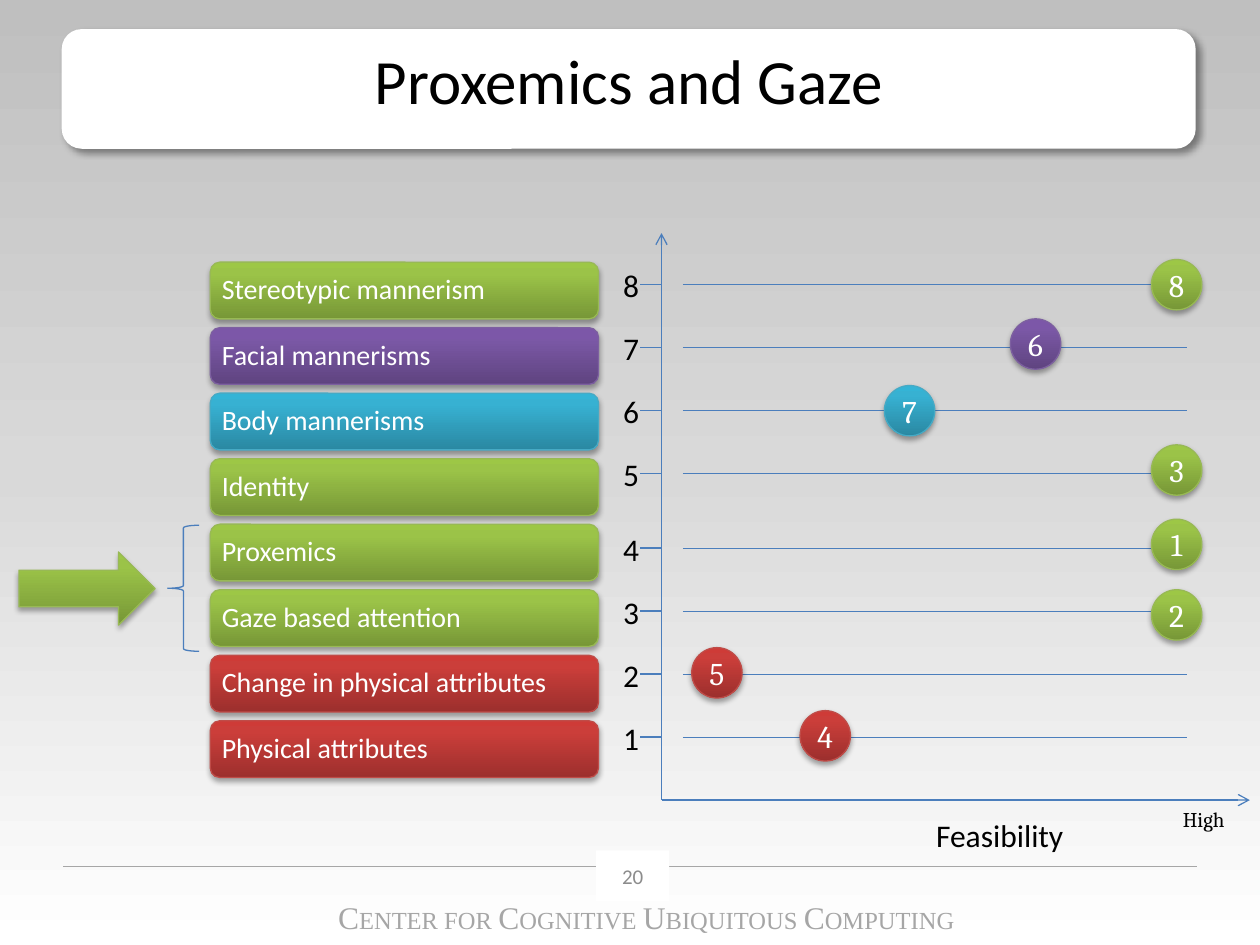
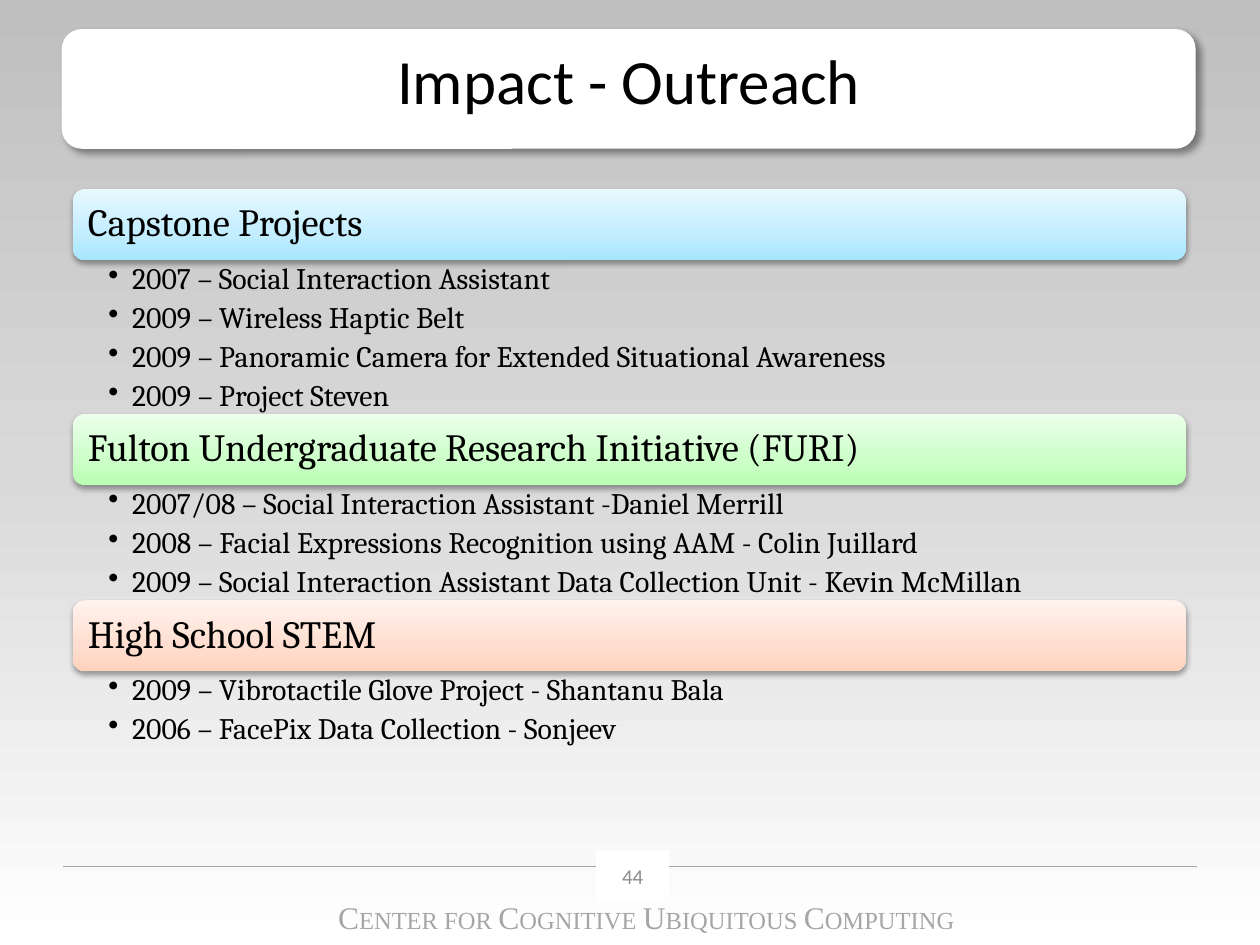
from lxml.etree import SubElement
from pptx import Presentation
from pptx.dml.color import RGBColor
from pptx.enum.dml import MSO_LINE
from pptx.enum.shapes import MSO_CONNECTOR, MSO_SHAPE
from pptx.enum.text import MSO_ANCHOR, MSO_AUTO_SIZE, PP_ALIGN
from pptx.oxml.ns import qn
from pptx.util import Pt

BLACK, WHITE, GREY, NUMBER_GREY, AXIS_BLUE = "000000", "FFFFFF", "A6A6A6", "8C8C8C", "4B7EBC"
BACKDROP = [(0, "BFBFBF"), (50, "D9D9D9"), (100, "FFFFFF")]
TITLE_BOX = (35.3, 16.6, 648, 68.4)
TITLE_SHADOW = {"alpha": 40, "blur": 4, "distance": 3, "angle": 45}
BAR_SHADOW = {"alpha": 35, "blur": 3.1, "distance": 1.8, "angle": 90}
CENTER_WORDS = ["CENTER FOR ", "COGNITIVE ", "UBIQUITOUS ", "COMPUTING"]

HUES = {
    "green": ([(0, "9DC746"), (20, "9BC348"), (100, "779737")], "98B955"),
    "purple": ([(0, "7C57A8"), (20, "7B58A6"), (100, "5F4480")], "7D60A0"),
    "blue": ([(0, "34B4D6"), (20, "37B1D2"), (100, "2A88A2")], "46AAC5"),
    "red": ([(0, "CE3B37"), (20, "CB3E3A"), (100, "9C2F2D")], "BF4C48"),
}
CUES = [
    ("Stereotypic mannerism", "green", "8", 280, 0),
    ("Facial mannerisms", "purple", "6", 199.4, -2.1),
    ("Body mannerisms", "blue", "7", 127.4, 0),
    ("Identity", "green", "3", 280, -2.1),
    ("Proxemics", "green", "1", 280, -2.1),
    ("Gaze based attention", "green", "2", 280, 2.2),
    ("Change in physical attributes", "red", "5", 17.3, -0.7),
    ("Physical attributes", "red", "4", 79.2, -0.7),
]
PROGRAMS = [
    ("Capstone Projects", [(0, "E7F8FF"), (65, "C1EDFF"), (100, "A7E6FF")], [
        "2007 – Social Interaction Assistant",
        "2009 – Wireless Haptic Belt",
        "2009 – Panoramic Camera for Extended Situational Awareness",
        "2009 – Project Steven",
    ]),
    ("Fulton Undergraduate Research Initiative (FURI)",
     [(0, "ECFFEA"), (65, "CDFFC9"), (100, "B9FFB2")], [
         "2007/08 – Social Interaction Assistant -Daniel Merrill",
         "2008 – Facial Expressions Recognition using AAM - Colin Juillard",
         "2009 – Social Interaction Assistant Data Collection Unit - Kevin McMillan",
     ]),
    ("High School STEM", [(0, "FFF2ED"), (65, "FFDED0"), (100, "FFD2BD")], [
        "2009 – Vibrotactile Glove Project - Shantanu Bala",
        "2006 – FacePix Data Collection - Sonjeev",
    ]),
]


def color(value):
    """Turn a hex string into a colour."""
    return RGBColor.from_string(value)


def apply(target, values):
    """Set attributes of an object from a dict."""
    for name, value in values.items():
        setattr(target, name, value)


def paint(fill, paint_value):
    """Fill with nothing, a hex colour or gradient stops from top to bottom."""
    if paint_value is None:
        fill.background()
    elif isinstance(paint_value, str):
        fill.solid()
        fill.fore_color.rgb = color(paint_value)
    else:
        fill.gradient()
        fill.gradient_angle = 270
        stops = fill._xPr.find(qn("a:gradFill")).find(qn("a:gsLst"))
        for stop in list(stops):
            stops.remove(stop)
        for percent, value in paint_value:
            stop = SubElement(stops, qn("a:gs"), pos=str(percent * 1000))
            SubElement(stop, qn("a:srgbClr"), val=value)


def add_box(page, kind, box, fill=None, outline=None, shadow=None):
    """Add a preset shape with its fill, outline and shadow."""
    shape = page.shapes.add_shape(kind, *map(Pt, box))
    paint(shape.fill, fill)
    paint(shape.line.fill, outline)
    if outline:
        shape.line.width = Pt(0.75)
    shape.shadow.inherit = False
    if shadow:
        effects = shape._element.spPr.find(qn("a:effectLst"))
        outer = SubElement(
            effects, qn("a:outerShdw"), blurRad=str(Pt(shadow["blur"])),
            dist=str(Pt(shadow["distance"])), dir=str(shadow["angle"] * 60000), rotWithShape="0")
        tone = SubElement(outer, qn("a:srgbClr"), val=BLACK)
        SubElement(tone, qn("a:alpha"), val=str(shadow["alpha"] * 1000))
    return shape


def add_line(page, start, end, tone=AXIS_BLUE, width=0.75, dash=None, arrow=False):
    """Add a straight line, with an arrowhead at its end if asked."""
    points = map(Pt, (*start, *end))
    connector = page.shapes.add_connector(MSO_CONNECTOR.STRAIGHT, *points)
    connector.line.color.rgb = color(tone)
    apply(connector.line, {"width": Pt(width), "dash_style": dash})
    if arrow:
        SubElement(connector.line._get_or_add_ln(), qn("a:tailEnd"), type="arrow")
    SubElement(connector._element.spPr, qn("a:effectLst"))


def write(shape, paragraphs, font, tone, align=PP_ALIGN.LEFT, anchor=MSO_ANCHOR.TOP,
          margins=(7.2, 3.6, 7.2, 3.6), wrap=True, spacing=None, bullet=False):
    """Write paragraphs, each a list of (text, size) spans, into a shape."""
    frame = shape.text_frame
    names = ("margin_left", "margin_top", "margin_right", "margin_bottom")
    apply(frame, dict(zip(names, map(Pt, margins))))
    apply(frame, {"word_wrap": wrap, "vertical_anchor": anchor, "auto_size": MSO_AUTO_SIZE.NONE})
    for index, spans in enumerate(paragraphs):
        para = frame.add_paragraph() if index else frame.paragraphs[0]
        if bullet:
            properties = para._p.get_or_add_pPr()
            properties.set("marL", str(Pt(13.5)))
            properties.set("indent", str(Pt(-13.5)))
            SubElement(properties, qn("a:buChar"), char="•")
        apply(para, {"alignment": align, **(spacing or {})})
        for text, size in spans:
            span = para.add_run()
            span.text = text
            apply(span.font, {"name": font, "size": Pt(size)})
            span.font.color.rgb = color(tone)


def add_label(page, box, text, size, font):
    """Add a one-line black label."""
    label = page.shapes.add_textbox(*map(Pt, box))
    write(label, [[(text, size)]], font, BLACK, wrap=False)


def add_page(deck, title, number):
    """Add a slide with the shared backdrop, title card and footer."""
    page = deck.slides.add_slide(deck.slide_layouts[5])
    paint(page.background.fill, BACKDROP)
    card = add_box(page, MSO_SHAPE.ROUNDED_RECTANGLE, TITLE_BOX, WHITE, shadow=TITLE_SHADOW)
    heading = page.shapes.title
    card._element.addnext(heading._element)
    apply(heading, dict(zip(("left", "top", "width", "height"), map(Pt, TITLE_BOX))))
    write(heading, [[(title, 36)]], "Calibri", BLACK, PP_ALIGN.CENTER, margins=(7.2, 7, 7.2, 3.6))
    add_footer(page, (36, 486, 648, 54), number)
    return page


def add_footer(page, box, number):
    """Add the rule, slide number and centre name."""
    left, top, width, _ = box
    add_line(page, (left, top + 9.3), (left + width, top + 9.3), GREY)
    badge = add_box(page, MSO_SHAPE.RECTANGLE, (left + 304.6, top, 41.8, 28.8), WHITE)
    write(badge, [[(number, 12)]], "Calibri", NUMBER_GREY, PP_ALIGN.CENTER, MSO_ANCHOR.MIDDLE)
    center = page.shapes.add_textbox(*map(Pt, (left + 120.2, top + 23.8, 426.2, 28.8)))
    spans = [span for word in CENTER_WORDS for span in ((word[0], 18), (word[1:], 14))]
    write(center, [spans], "Times New Roman", GREY, PP_ALIGN.CENTER)


def add_cue_bars(page, box):
    """Stack one coloured bar for each cue."""
    left, top, width, height = box
    pitch = height / len(CUES)
    for index, (name, hue, *_) in enumerate(CUES):
        bar_box = (left, top + index * pitch, width, 32.4)
        bar = add_box(page, MSO_SHAPE.ROUNDED_RECTANGLE, bar_box, *HUES[hue], BAR_SHADOW)
        write(bar, [[(name, 16)]], "Calibri", WHITE, anchor=MSO_ANCHOR.MIDDLE,
              margins=(5, 5, 5, 5), spacing={"line_spacing": 0.9})


def add_feasibility_plot(page, box):
    """Draw the axes, level lines and ranked dots."""
    left, top, width, height = box
    bottom = top + height
    add_line(page, (left, bottom), (left + width, bottom), arrow=True)
    add_line(page, (left, bottom), (left, top), arrow=True)
    add_label(page, (left + 149.8, bottom + 5.8, 87.8, 28.8), "Feasibility", 18, "Calibri")
    add_label(page, (left + 290.9, bottom, 38.9, 21.6), "High", 12, "Cambria")
    for index, (_, hue, rank, offset, nudge) in enumerate(CUES):
        level = len(CUES) - index
        y = bottom - 36 * level - (6.5 if level > 4 else 0)
        add_line(page, (left - 12.2, y), (left, y))
        add_label(page, (left - 29, y - 14, 23.8, 28.8), str(level), 18, "Calibri")
        add_line(page, (left + 12.2, y), (left + 300.2, y), width=0.25, dash=MSO_LINE.ROUND_DOT)
        dot_box = (left + offset, y - 14.4 + nudge, 28.8, 28.8)
        dot = add_box(page, MSO_SHAPE.OVAL, dot_box, *HUES[hue], BAR_SHADOW)
        write(dot, [[(rank, 18)]], "Cambria", WHITE, PP_ALIGN.CENTER, MSO_ANCHOR.MIDDLE, wrap=False)


def add_focus_marker(page, box):
    """Point an arrow and a brace at the cues in focus."""
    left, top, width, height = box
    arrow_box = (left, top + 15.2, 77.8, 41.8)
    add_box(page, MSO_SHAPE.RIGHT_ARROW, arrow_box, *HUES["green"], BAR_SHADOW)
    brace_box = (left + width - 18, top, 18, height)
    add_box(page, MSO_SHAPE.LEFT_BRACE, brace_box, outline=AXIS_BLUE)


def add_programs(page, box):
    """Stack program headers with their bulleted projects."""
    left, top, width, _ = box
    for name, stops, projects in PROGRAMS:
        header_box = (left, top, width, 40.5)
        header = add_box(page, MSO_SHAPE.ROUNDED_RECTANGLE, header_box, stops, shadow=BAR_SHADOW)
        write(header, [[(name, 22)]], "Cambria", BLACK, anchor=MSO_ANCHOR.MIDDLE,
              margins=(6.5, 6.5, 6.5, 6.5), spacing={"line_spacing": 0.9})
        top += 40.5
        height = 22 * len(projects)
        listing = page.shapes.add_textbox(*map(Pt, (left, top, width, height)))
        write(listing, [[(project, 17)] for project in projects], "Cambria", BLACK,
              margins=(20.2, 2.2, 12.2, 2.2), bullet=True,
              spacing={"line_spacing": 0.9, "space_before": Pt(0), "space_after": Pt(4)})
        top += height


def main():
    """Build and save the deck."""
    deck = Presentation()
    apply(deck, {"slide_width": Pt(720), "slide_height": Pt(540)})
    ranking = add_page(deck, "Proxemics and Gaze", "20")
    add_feasibility_plot(ranking, (378, 133.2, 336.2, 324))
    add_cue_bars(ranking, (120.2, 149.8, 221.8, 299.5))
    add_focus_marker(ranking, (10.8, 300.2, 103, 72))
    outreach = add_page(deck, "Impact - Outreach", "44")
    add_programs(outreach, (41.8, 108, 635.8, 320))
    deck.save("out.pptx")


if __name__ == "__main__":
    main()
